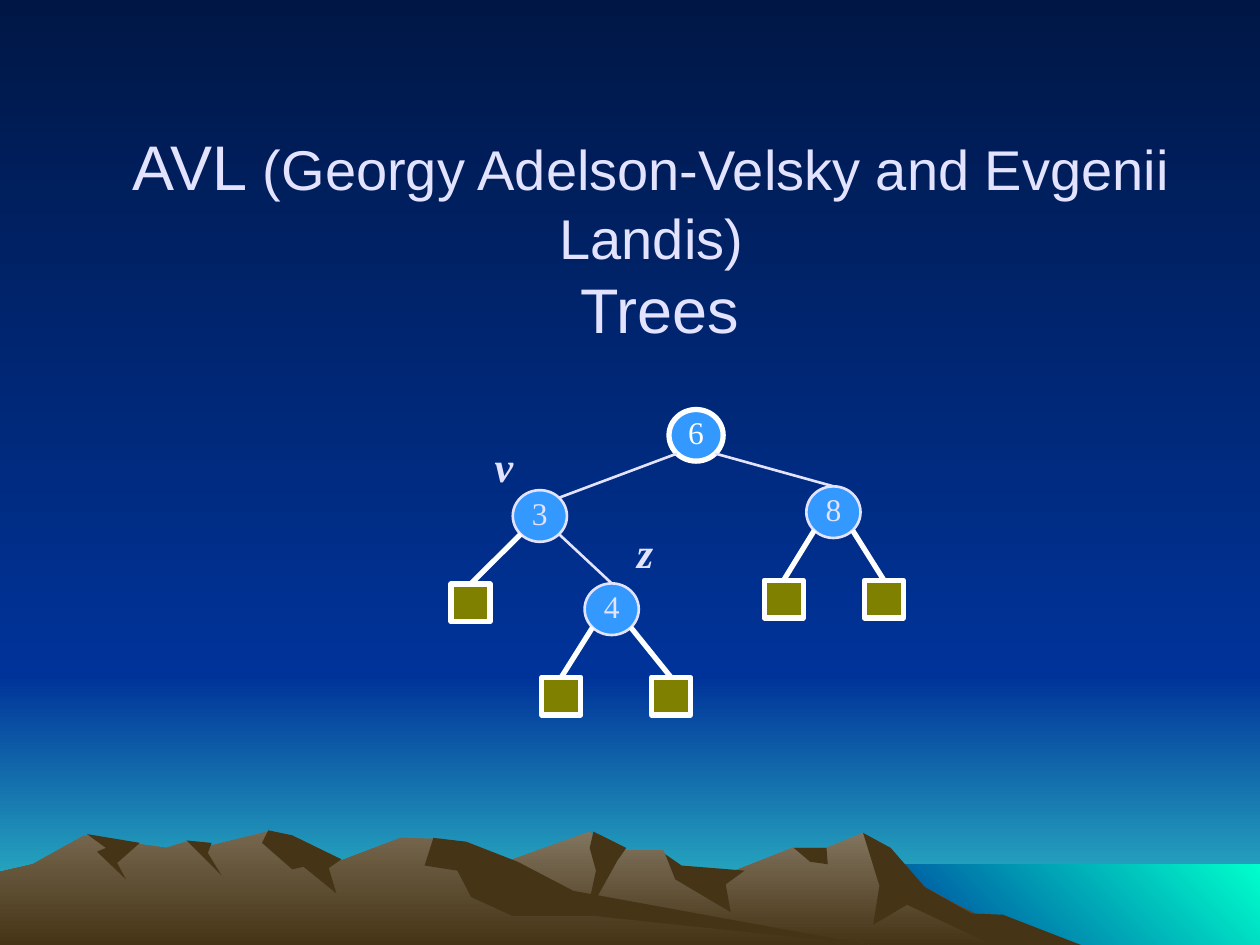
"""Build the title slide on AVL trees: a search tree above a mountain landscape."""
from dataclasses import dataclass
from typing import Optional

from lxml.etree import SubElement
from pptx import Presentation
from pptx.dml.color import RGBColor
from pptx.enum.shapes import MSO_CONNECTOR, MSO_SHAPE
from pptx.enum.text import MSO_ANCHOR, MSO_AUTO_SIZE, PP_ALIGN
from pptx.oxml.ns import qn
from pptx.util import Inches, Pt

COLUMNS, ROWS = 1000, 750
UNIT = Inches(10) // COLUMNS
SHORE, SEA_TOP, SEA_LEFT = 536, 686, 683


@dataclass(frozen=True)
class Theme:
    night: str = "001746"
    dusk: str = "003399"
    horizon: str = "33CCCC"
    lagoon: str = "00FFCC"
    near_rock: str = "75674E"
    far_rock: str = "82755F"
    earth: str = "463416"
    pale: str = "E3E3FF"
    white: str = "FFFFFF"
    circle: str = "3399FF"
    leaf: str = "808000"
    sans: str = "Arial"
    serif: str = "Times New Roman"
    title_size: int = 36
    names_size: int = 32
    marker_size: int = 24
    key_size: int = 18
    thin: float = 1.5
    thick: float = 3


THEME = Theme()


@dataclass(frozen=True)
class Band:
    left: int
    top: int
    bottom: int
    start: str
    end: str
    angle: int = 270


@dataclass(frozen=True)
class Ridge:
    outline: tuple
    crest: Optional[str] = None


@dataclass(frozen=True)
class Node:
    """A tree node, placed by its distance from its parent."""
    across: float
    down: float = 69
    key: str = ""
    children: tuple = ()
    joins_top: bool = True


BANDS = (
    Band(0, SHORE, ROWS, THEME.dusk, THEME.horizon),
    Band(0, 0, SHORE, THEME.night, THEME.dusk),
    Band(SEA_LEFT, SEA_TOP, ROWS, THEME.dusk, THEME.lagoon, 45),
)

RIDGES = (
    Ridge(((685, 661), (656, 673), (629, 673), (566, 698), (536, 691), (526, 675), (485, 675),
           (468, 660), (394, 687), (258, ROWS), (821, ROWS), (723, 699)), THEME.far_rock),
    Ridge(((685, 661), (698, 703), (693, 734), (720, 718), (788, ROWS), (858, ROWS),
           (796, 726), (771, 725), (734, 704), (707, 673))),
    Ridge(((471, 660), (468, 673), (473, 691), (465, 728), (490, 683), (497, 673))),
    Ridge(((528, 678), (536, 698), (580, 724), (576, 702), (591, 691), (541, 687))),
    Ridge(((630, 673), (643, 684), (657, 686), (656, 673))),
    Ridge(((0, 692), (26, 686), (67, 663), (111, 670), (132, 673), (148, 668), (160, 673),
           (212, 660), (271, 683), (318, 665), (354, 666), (432, 714), (690, ROWS),
           (0, ROWS)), THEME.near_rock),
    Ridge(((213, 659), (208, 669), (232, 690), (241, 688), (267, 709), (261, 689),
           (271, 682), (232, 663))),
    Ridge(((344, 665), (337, 687), (363, 691), (374, 712), (407, 727), (472, 727),
           (690, ROWS), (455, 707), (411, 684), (370, 668))),
    Ridge(((148, 667), (176, 695), (165, 677), (168, 669))),
    Ridge(((69, 662), (84, 673), (77, 676), (100, 698), (93, 685), (111, 669))),
)

NODE_WIDTH, NODE_HEIGHT = 43, 41
LEAF_WIDTH, LEAF_HEIGHT = 31, 30
DIAGONAL = 0.5 ** 0.5 / 2

ROOT_COLUMN, ROOT_ROW = 552.5, 345.5
NODE_4 = Node(57, 74, "4", (Node(-40), Node(47)))
NODE_3 = Node(-124, 64, "3", (Node(-55), NODE_4), joins_top=False)
NODE_8 = Node(109, 61, "8", (Node(-39.5), Node(40)))
TREE = Node(0, 0, "6", (NODE_3, NODE_8))
MARKERS = {"v": (379, 345), "z": (491, 413)}


def grid(*lengths: float) -> list[int]:
    """Turn columns and rows into slide lengths."""
    return [round(length * UNIT) for length in lengths]


def write(paragraph, text: str, *, size: int, font: str, color: str,
          emphasis: bool = False) -> None:
    """Add a centred run of formatted text."""
    paragraph.alignment = PP_ALIGN.CENTER
    run = paragraph.add_run()
    run.text = text
    run.font.size, run.font.name = Pt(size), font
    run.font.bold = run.font.italic = emphasis
    run.font.color.rgb = RGBColor.from_string(color)


def shade(fill, start: str, end: Optional[str] = None, angle: int = 270) -> None:
    """Set a plain fill, or a gradient where an end colour is given."""
    if end is None:
        fill.solid()
        fill.fore_color.rgb = RGBColor.from_string(start)
        return
    fill.gradient()
    fill.gradient_angle = angle
    for stop, color, position in zip(fill.gradient_stops, (start, end), (0, 1)):
        stop.color.rgb = RGBColor.from_string(color)
        stop.position = position


def paint(shape, start: str, end: Optional[str] = None, angle: int = 270) -> None:
    """Fill a shape and remove its shadow and outline."""
    shape.shadow.inherit = False
    shape.line.fill.background()
    shade(shape.fill, start, end, angle)


def outline(line, color: str, weight: float) -> None:
    """Set the colour and weight of a line."""
    line.color.rgb = RGBColor.from_string(color)
    line.width = Pt(weight)


def draw_landscape(shapes) -> None:
    """Draw the sky, the sea and the mountains."""
    for band in BANDS:
        area = shapes.add_shape(MSO_SHAPE.RECTANGLE, *grid(
            band.left, band.top, COLUMNS - band.left, band.bottom - band.top))
        paint(area, band.start, band.end, band.angle)
    for ridge in RIDGES:
        builder = shapes.build_freeform(*ridge.outline[0], scale=UNIT)
        builder.add_line_segments(ridge.outline[1:], close=True)
        rock = builder.convert_to_shape()
        paint(rock, ridge.crest or THEME.earth, THEME.earth if ridge.crest else None)


def draw_node(shapes, node: Node, column: float, row: float):
    """Draw a node with its whole subtree and return its shape."""
    width, height = (NODE_WIDTH, NODE_HEIGHT) if node.key else (LEAF_WIDTH, LEAF_HEIGHT)
    body = shapes.add_shape(MSO_SHAPE.OVAL if node.key else MSO_SHAPE.RECTANGLE,
                            *grid(column - width / 2, row - height / 2, width, height))
    strong = node is TREE or not node.key
    color = THEME.white if strong else THEME.pale
    paint(body, THEME.circle if node.key else THEME.leaf)
    outline(body.line, color, THEME.thick if strong else THEME.thin)
    if node.key:
        frame = body.text_frame
        frame.margin_left = frame.margin_right = frame.margin_top = 0
        frame.margin_bottom = Inches(0.05)
        frame.word_wrap, frame.vertical_anchor = False, MSO_ANCHOR.MIDDLE
        write(frame.paragraphs[0], node.key, size=THEME.key_size, font=THEME.serif, color=color)
    for child in node.children:
        child_body = draw_node(shapes, child, column + child.across, row + child.down)
        draw_edge(shapes, child, column, row, child_body)
    return body


def draw_edge(shapes, child: Node, column: float, row: float, child_body) -> None:
    """Join the lower diagonal of the parent at column and row to its child."""
    across, down = NODE_WIDTH * DIAGONAL, NODE_HEIGHT * DIAGONAL
    if child.across < 0:
        across = -across
    edge = shapes.add_connector(MSO_CONNECTOR.STRAIGHT, *grid(
        column + across, row + down,
        column + child.across - across, row + child.down - down))
    if child.joins_top:
        edge.end_connect(child_body, 0)
    outline(edge.line, *((THEME.pale, THEME.thin) if child.key else (THEME.white, THEME.thick)))
    SubElement(edge.element.spPr, qn("a:effectLst"))


def place_title(title) -> None:
    """Move the title in front of the landscape and write it."""
    title.element.getparent().append(title.element)
    title.left, title.top, title.width, title.height = grid(67, 83, 900, 210)
    frame = title.text_frame
    frame.auto_size, frame.vertical_anchor = MSO_AUTO_SIZE.NONE, MSO_ANCHOR.MIDDLE
    heading = frame.paragraphs[0]
    look = {"font": THEME.sans, "color": THEME.pale}
    write(heading, "AVL", size=THEME.title_size, **look)
    write(heading, " (Georgy Adelson-Velsky and Evgenii Landis)", size=THEME.names_size, **look)
    heading.add_line_break()
    write(heading, " Trees", size=THEME.title_size, **look)


def main() -> None:
    """Build and save the slide."""
    deck = Presentation()
    deck.slide_width, deck.slide_height = grid(COLUMNS, ROWS)
    slide = deck.slides.add_slide(deck.slide_layouts[5])
    shade(slide.background.fill, THEME.night, THEME.dusk)
    draw_landscape(slide.shapes)
    place_title(slide.shapes.title)
    draw_node(slide.shapes, TREE, ROOT_COLUMN, ROOT_ROW)
    for letter, corner in MARKERS.items():
        marker = slide.shapes.add_textbox(*grid(*corner, 42, 59)).text_frame
        marker.word_wrap = True
        write(marker.paragraphs[0], letter, size=THEME.marker_size, font=THEME.serif,
              color=THEME.pale, emphasis=True)
    deck.save("out.pptx")


if __name__ == "__main__":
    main()
